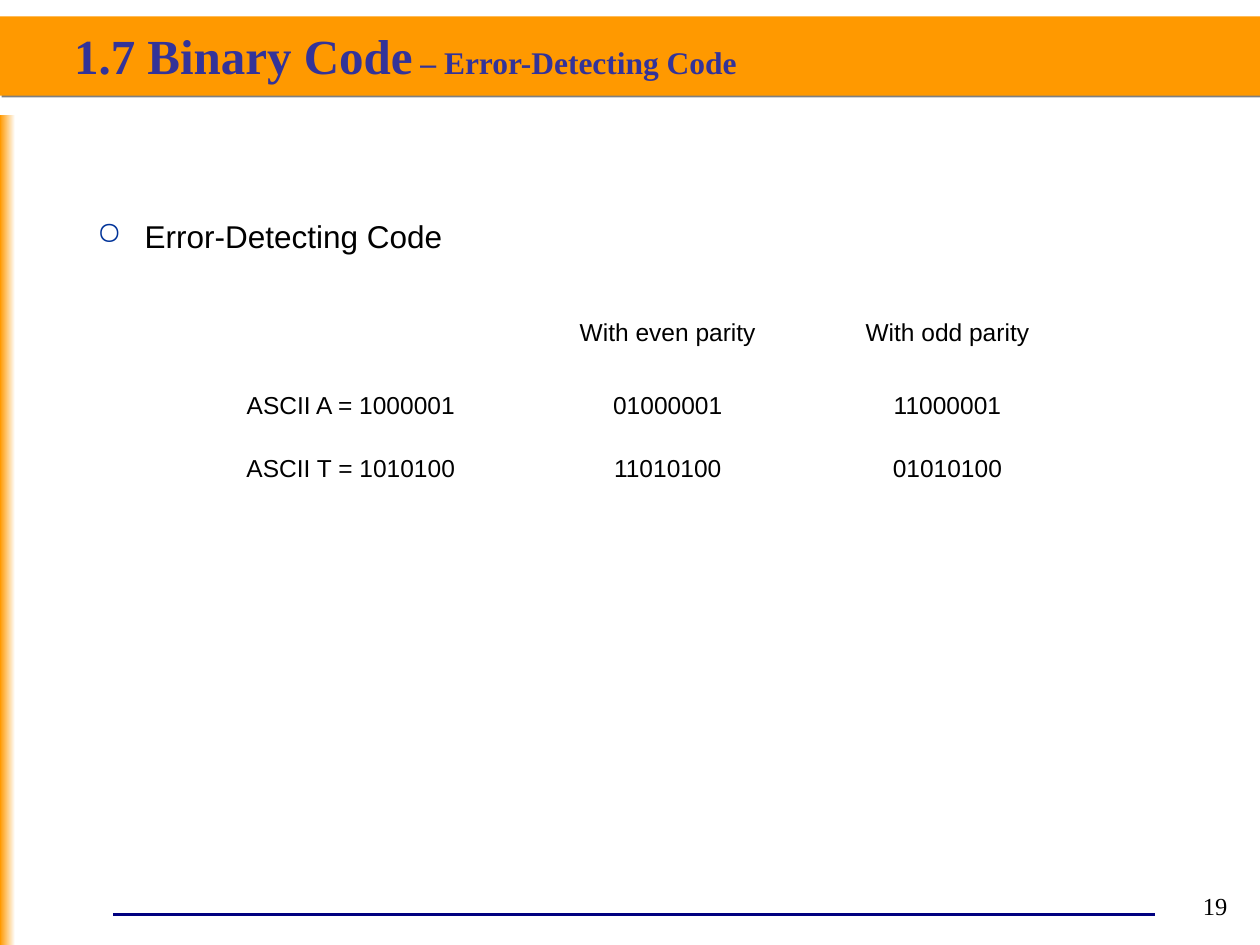
"""Build the slide on error-detecting codes."""
from lxml import etree
from pptx import Presentation, util as u
from pptx.dml.color import RGBColor
from pptx.enum import shapes, text
from pptx.oxml.ns import qn

HUES = {"band": "FF9900", "pale": "FEFEFE", "shade": "808080", "rule": "000080",
        "title": "333399", "dot": "003399", "ink": "000000"}
ROMAN = {"name": "Times New Roman"}
ARIAL = {"name": "Arial"}
CODES = [("", "With even parity", "With odd parity"),
         ("ASCII A = 1000001", "01000001", "11000001"),
         ("ASCII T = 1010100", "11010100", "01010100")]
WIDTHS = (2.81, 2.22, 2.22)
HEIGHTS = (0.58, 0.5, 0.44)


def hue(key):
    """Return a named colour."""
    return RGBColor.from_string(HUES[key])


def node(top, tag, **vals):
    """Append an XML element with attributes."""
    return etree.SubElement(top, qn(tag), {k: str(v) for k, v in vals.items()})


def write(para, words, size, face, tint="ink"):
    """Add a formatted run."""
    run = para.add_run()
    run.text = words
    for key, val in {"size": u.Pt(size), **face}.items():
        setattr(run.font, key, val)
    run.font.color.rgb = hue(tint)


def label(slide, box, **form):
    """Add a text box and return its first paragraph."""
    frame = slide.shapes.add_textbox(*map(u.Inches, box)).text_frame
    for key, val in {"word_wrap": True, **form}.items():
        setattr(frame, key, val)
    return frame.paragraphs[0]


def block(slide, box):
    """Add a borderless orange rectangle."""
    shape = slide.shapes.add_shape(shapes.MSO_SHAPE.RECTANGLE, *map(u.Inches, box))
    shape.shadow.inherit = False
    shape.fill.solid()
    shape.fill.fore_color.rgb = hue("band")
    shape.line.fill.background()
    return shape


def shade(shape):
    """Give a shape a thin hard shadow."""
    spot = shape._element.spPr.find(qn("a:effectLst"))
    cast = node(spot, "a:outerShdw", blurRad=0, dist=u.Pt(1.4), dir=45 * 60000,
                algn="ctr", rotWithShape=0)
    node(cast, "a:srgbClr", val=HUES["shade"])


def fade(shape):
    """Fade a shape from pale on the right to orange on the left."""
    shape.fill.gradient()
    shape.fill.gradient_angle = 180
    for stop, key, pos in zip(shape.fill.gradient_stops, ("pale", "band"), (0, 1)):
        stop.color.rgb = hue(key)
        stop.position = pos


def rule(slide, left, right, top):
    """Draw the footer line."""
    line = slide.shapes.add_connector(
        shapes.MSO_CONNECTOR.STRAIGHT, *map(u.Inches, (left, top, right, top)))
    line.line.color.rgb = hue("rule")
    line.line.width = u.Pt(1.5)
    node(line._element.spPr, "a:effectLst")


def point(slide, box, words):
    """Add a bulleted line."""
    para = label(slide, box)
    para.space_before = u.Pt(4.5)
    props = para._p.get_or_add_pPr()
    props.set("marL", str(u.Inches(0.38)))
    props.set("indent", str(u.Inches(-0.38)))
    node(node(props, "a:buClr"), "a:srgbClr", val=HUES["dot"])
    node(props, "a:buChar", char="○")
    write(para, words, 18, ARIAL)


def grid(slide, left, top):
    """Add the parity table."""
    size = map(u.Inches, (left, top, sum(WIDTHS), sum(HEIGHTS)))
    table = slide.shapes.add_table(len(CODES), len(WIDTHS), *size).table
    table.first_row = table.horz_banding = False
    for col, wide in zip(table.columns, WIDTHS):
        col.width = u.Inches(wide)
    for row, high, codes in zip(table.rows, HEIGHTS, CODES):
        row.height = u.Inches(high)
        for cell, words in zip(row.cells, codes):
            cell.fill.background()
            para = cell.text_frame.paragraphs[0]
            para.alignment = text.PP_ALIGN.CENTER
            para.space_before = u.Pt(3.5)
            if words:
                write(para, words, 14, ARIAL)


def main():
    """Build and save the slide."""
    deck = Presentation()
    deck.slide_width, deck.slide_height = u.Inches(10), u.Inches(7.5)
    slide = deck.slides.add_slide(deck.slide_layouts[6])
    rule(slide, 0.9, 9.17, 7.26)
    shade(block(slide, (0, 0.13, 10, 0.63)))
    fade(block(slide, (0, 0.91, 0.12, 6.59)))
    point(slide, (0.67, 1.67, 9, 0.5), "Error-Detecting Code")
    grid(slide, 1.38, 2.48)
    title = label(slide, (0.49, 0.21, 9, 0.46), vertical_anchor=text.MSO_ANCHOR.MIDDLE)
    for words, size in (("1.7 Binary Code", 28), (" – Error-Detecting Code", 18)):
        write(title, words, size, {**ROMAN, "bold": True}, "title")
    page = label(slide, (9.28, 7.02, 0.56, 0.37))
    page.alignment = text.PP_ALIGN.RIGHT
    write(page, "19", 14, ROMAN)
    deck.save("out.pptx")


if __name__ == "__main__":
    main()
